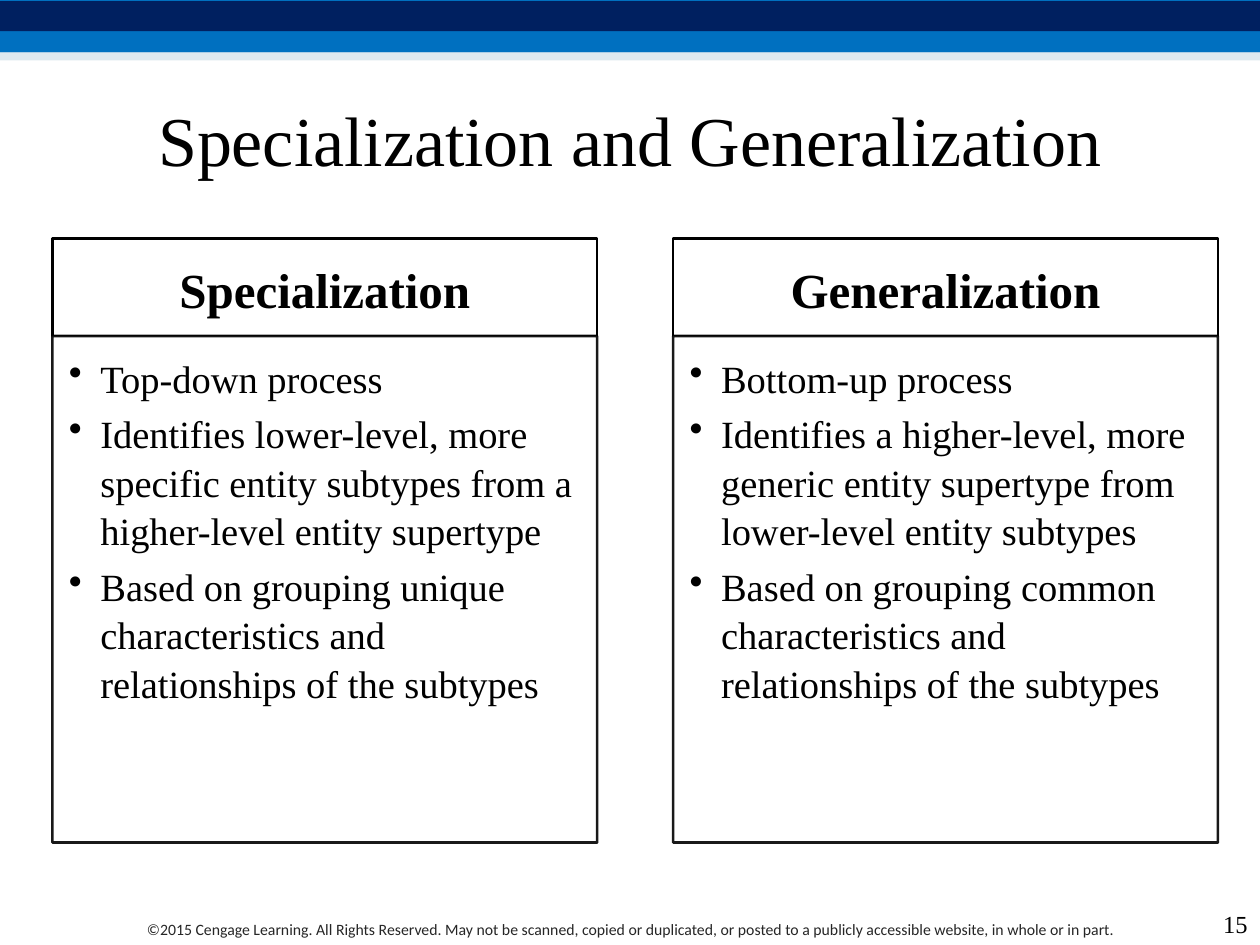
from dataclasses import dataclass
from typing import Optional

from lxml.etree import SubElement
from pptx import Presentation
from pptx.dml.color import RGBColor
from pptx.enum.shapes import MSO_SHAPE
from pptx.enum.text import MSO_ANCHOR, PP_ALIGN
from pptx.oxml.ns import qn
from pptx.util import Pt

SERIF = "Times New Roman"
BLACK, WHITE = "000000", "FFFFFF"


@dataclass
class Box:
    left: float
    top: float
    width: float
    height: float


@dataclass
class Style:
    size: float
    font: str = SERIF
    color: str = BLACK
    bold: bool = False
    align: PP_ALIGN = PP_ALIGN.LEFT
    anchor: MSO_ANCHOR = MSO_ANCHOR.TOP
    insets: tuple = (7.2, 3.6, 7.2, 3.6)
    line_spacing: float = 1.0
    space_after: float = 0
    bullet: bool = False


@dataclass
class Column:
    left: float
    heading: str
    points: list


def paint(fill, color: str, alpha: int = 100) -> None:
    fill.solid()
    fill.fore_color.rgb = RGBColor.from_string(color)
    if alpha < 100:
        clr = fill._xPr.find(qn("a:solidFill"))[0]
        SubElement(clr, qn("a:alpha")).set("val", str(alpha * 1000))


def add_rect(s, box: Box, color: str, alpha: int = 100,
             line: Optional[str] = None):
    sp = s.shapes.add_shape(MSO_SHAPE.RECTANGLE, Pt(box.left), Pt(box.top),
                            Pt(box.width), Pt(box.height))
    sp.shadow.inherit = False
    paint(sp.fill, color, alpha)
    if line:
        sp.line.width = Pt(1.5)
        paint(sp.line.fill, line, alpha)
    else:
        sp.line.fill.background()
    return sp


def add_bullet(p, indent: float) -> None:
    pPr = p._p.get_or_add_pPr()
    pPr.set("marL", str(Pt(indent)))
    pPr.set("indent", str(-Pt(indent)))
    SubElement(pPr, qn("a:buChar")).set("char", "•")


def write(sp, lines: list, style: Style) -> None:
    tf = sp.text_frame
    tf.word_wrap = True
    tf.vertical_anchor = style.anchor
    (tf.margin_left, tf.margin_top,
     tf.margin_right, tf.margin_bottom) = map(Pt, style.insets)
    tf.text = "\n".join(lines)
    for p in tf.paragraphs:
        p.alignment = style.align
        p.line_spacing = style.line_spacing
        p.space_after = Pt(style.space_after)
        if style.bullet:
            add_bullet(p, 18)
        for r in p.runs:
            r.font.name = style.font
            r.font.size = Pt(style.size)
            r.font.bold = style.bold
            r.font.color.rgb = RGBColor.from_string(style.color)


def add_text(s, box: Box, text: str, style: Style) -> None:
    sp = s.shapes.add_textbox(Pt(box.left), Pt(box.top),
                              Pt(box.width), Pt(box.height))
    write(sp, [text], style)


TITLE = Style(40, align=PP_ALIGN.CENTER, anchor=MSO_ANCHOR.MIDDLE,
              line_spacing=1.05)
FOOTER = Style(9, font="Calibri", color="262626", align=PP_ALIGN.CENTER)
NUMBER = Style(14, align=PP_ALIGN.RIGHT, anchor=MSO_ANCHOR.BOTTOM)
HEADING = Style(28, bold=True, align=PP_ALIGN.CENTER, line_spacing=1.05,
                anchor=MSO_ANCHOR.MIDDLE, insets=(21.6, 12.2, 21.6, 12.2))
BODY = Style(22, insets=(9.4, 9.4, 12.2, 13.7), line_spacing=1.05,
             space_after=4.1, bullet=True)

COLUMN_TOP, COLUMN_WIDTH = 136.5, 311.3
HEADING_HEIGHT, BODY_HEIGHT = 55.5, 289.5

COLUMNS = [
    Column(30, "Specialization", [
        "Top-down process",
        "Identifies lower-level, more specific entity subtypes from a "
        "higher-level entity supertype",
        "Based on grouping unique characteristics and relationships of "
        "the subtypes"]),
    Column(384.7, "Generalization", [
        "Bottom-up process",
        "Identifies a higher-level, more generic entity supertype from "
        "lower-level entity subtypes",
        "Based on grouping common characteristics and relationships of "
        "the subtypes"]),
]


def add_column(s, col: Column) -> None:
    head = Box(col.left, COLUMN_TOP, COLUMN_WIDTH, HEADING_HEIGHT)
    write(add_rect(s, head, WHITE, line=BLACK), [col.heading], HEADING)
    body = Box(col.left, COLUMN_TOP + HEADING_HEIGHT,
               COLUMN_WIDTH, BODY_HEIGHT)
    write(add_rect(s, body, WHITE, 90, line=BLACK), col.points, BODY)


def main() -> None:
    prs = Presentation()
    prs.slide_width, prs.slide_height = Pt(720), Pt(540)
    s = prs.slides.add_slide(prs.slide_layouts[6])

    # Banner bands
    add_rect(s, Box(0, 0, 720, 30), "0070C0")
    add_rect(s, Box(0, 0.6, 720, 17.2), "002060")
    add_rect(s, Box(0, 30, 720, 4.5), "BED3E1", 50)

    # Footer, title and slide number
    add_text(s, Box(42, 522, 636, 18),
             "©2015 Cengage Learning. All Rights Reserved. May not be "
             "scanned, copied or duplicated, or posted to a publicly "
             "accessible website, in whole or in part.", FOOTER)
    add_text(s, Box(36, 36, 648, 84), "Specialization and Generalization",
             TITLE)
    add_text(s, Box(684, 516, 36, 24), "15", NUMBER)

    # Comparison columns
    for col in COLUMNS:
        add_column(s, col)

    prs.save("out.pptx")


if __name__ == "__main__":
    main()
